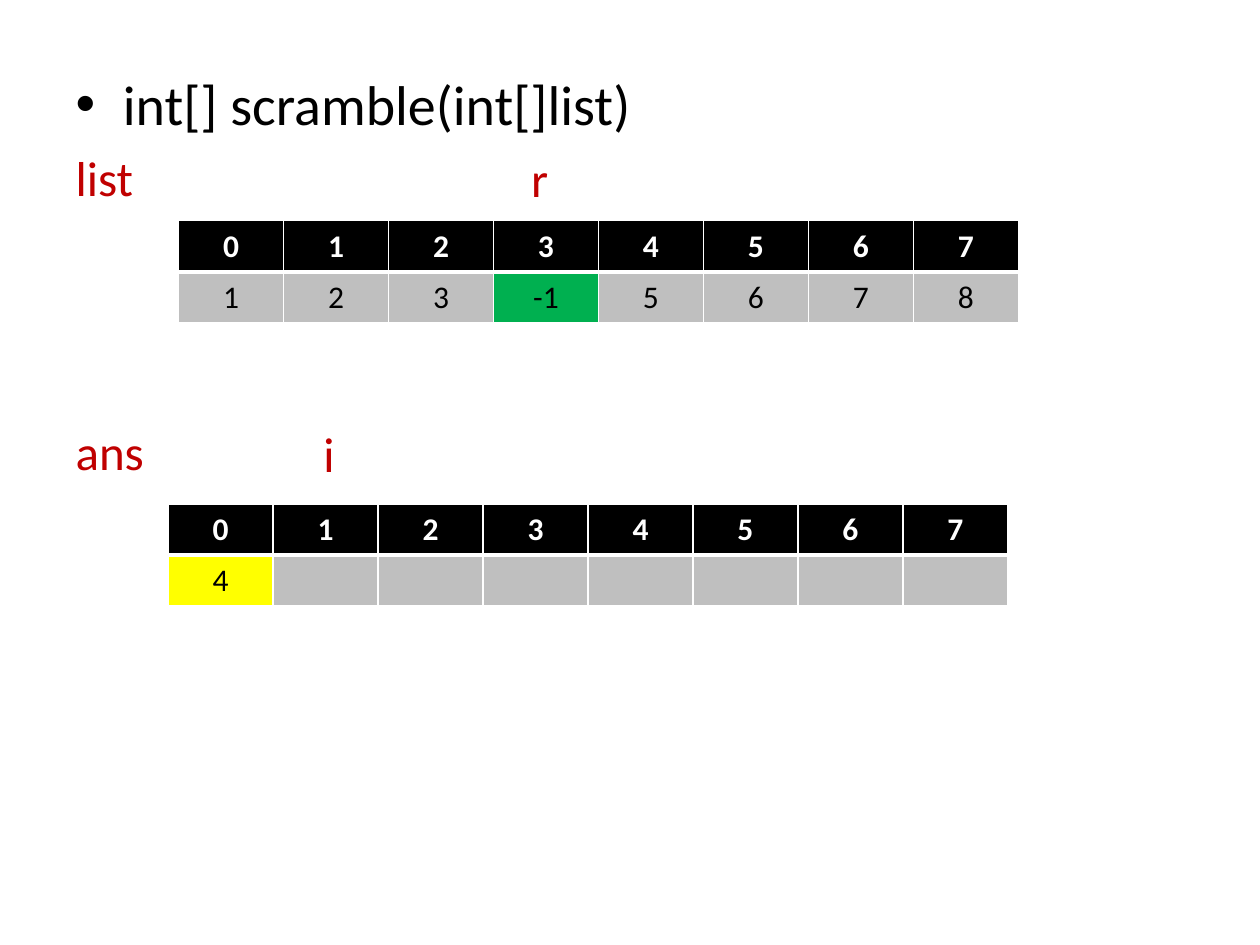
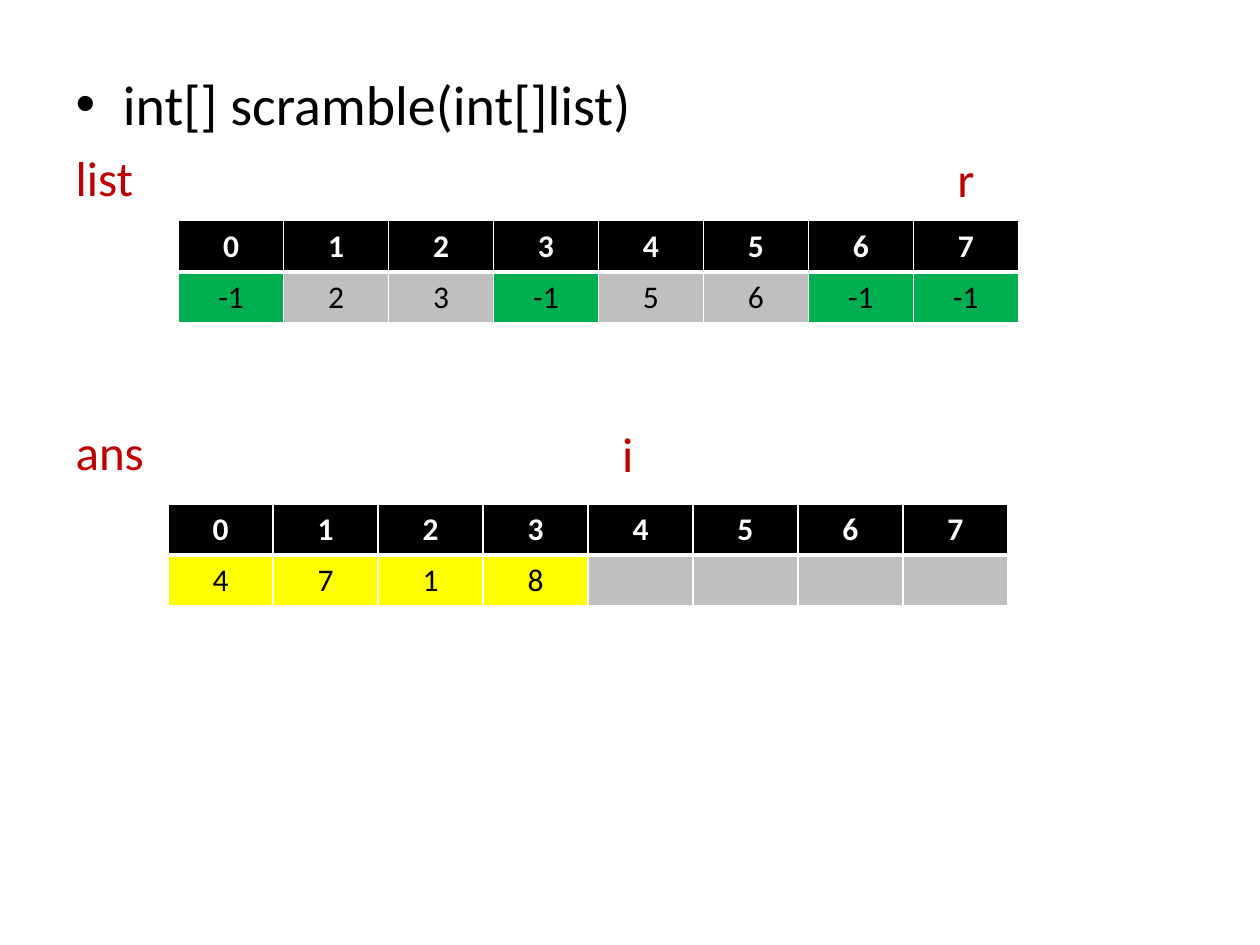
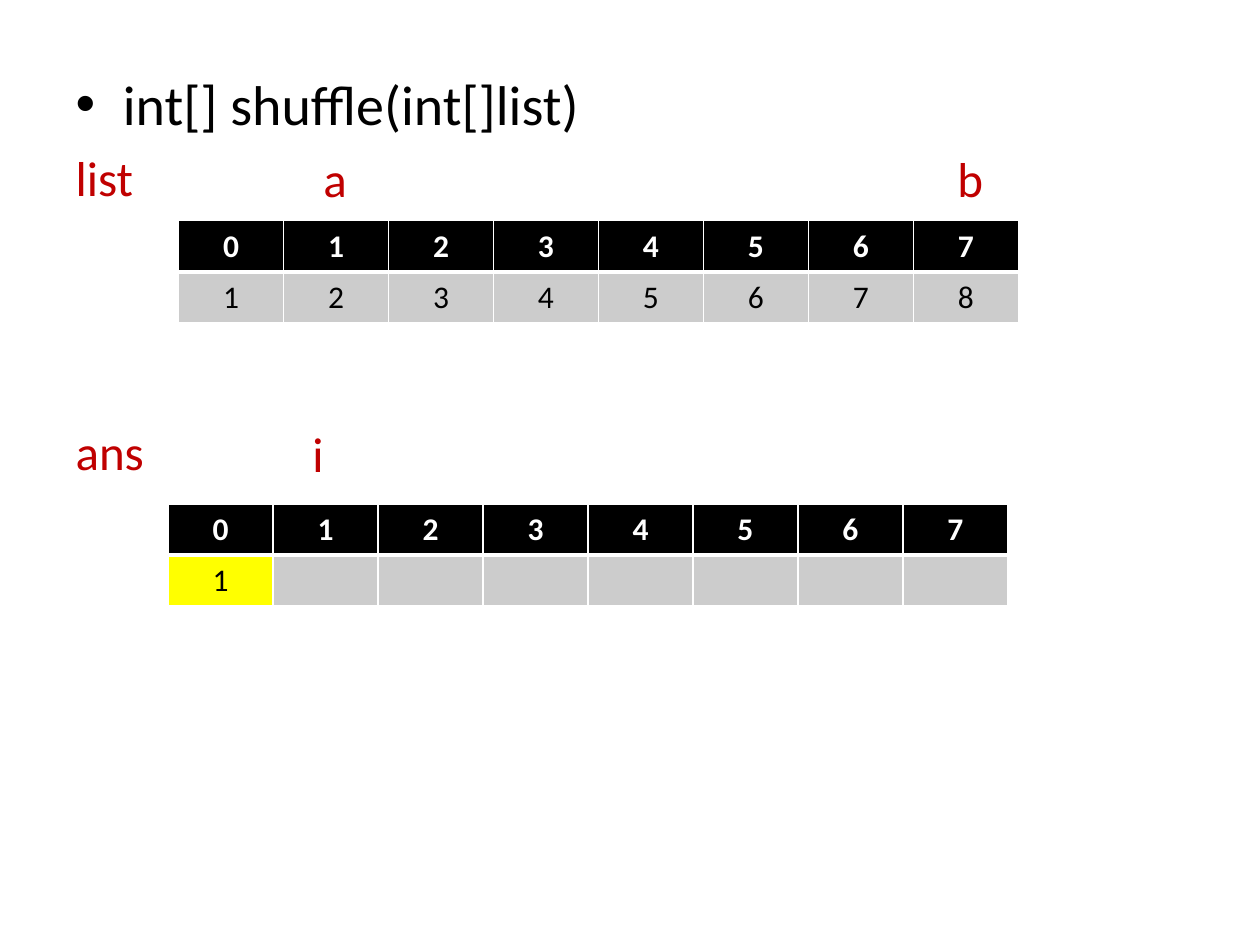
import pptx
import pptx.dml.color
import pptx.enum.text
import pptx.oxml.ns
import pptx.util
from lxml import etree

Cm, Pt = pptx.util.Cm, pptx.util.Pt
qn = pptx.oxml.ns.qn

COLORS = {"text": "000000", "label": "C00000", "header": "000000",
          "header_text": "FFFFFF", "border": "FFFFFF", "used": "00B050",
          "filled": "FFFF00", "gray": "BFBFBF", "light_gray": "CCCCCC"}
FONT = "Calibri"
USED = -1  # marks a list value already moved to the answer
SIZE = 8

# Pointers are (name, distance from the left edge of the text in cm).
SLIDES = [
    {"heading": "int[] scramble(int[]list)", "cell": "gray",
     "list": [1, 2, 3, USED, 5, 6, 7, 8], "list_pointers": [("r", 9.19)],
     "ans": [4], "ans_pointers": [("i", 5)]},
    {"heading": "int[] scramble(int[]list)", "cell": "gray",
     "list": [USED, 2, 3, USED, 5, 6, USED, USED],
     "list_pointers": [("r", 17.78)],
     "ans": [4, 7, 1, 8], "ans_pointers": [("i", 11.02)]},
    {"heading": "int[] shuffle(int[]list)", "cell": "light_gray",
     "list": [1, 2, 3, 4, 5, 6, 7, 8],
     "list_pointers": [("a", 5), ("b", 17.78)],
     "ans": [1], "ans_pointers": [("i", 4.78)]},
]

BODY = (1.27, 1.27, 23.06, 15.75)
TEXT_LEFT = 1.52
LIST_LABEL_TOP, ANS_LABEL_TOP = 2.99, 8.53
LIST_AT = (3.6, 4.45)
ANS_AT = (3.39, 10.16)
TABLE_WIDTH, ROW_HEIGHT = 16.93, 1.03


def rgb(name):
    return pptx.dml.color.RGBColor.from_string(COLORS[name])


def add_run(p, text, size, color, bold=False):
    r = p.add_run()
    r.text = text
    r.font.name, r.font.size, r.font.bold = FONT, Pt(size), bold
    r.font.color.rgb = rgb(color)


def add_label(tf, name, space_before):
    """Add an array name as a body paragraph without bullet."""
    p = tf.add_paragraph()
    pPr = p._p.get_or_add_pPr()
    pPr.set("marL", "0")
    pPr.set("indent", "0")
    etree.SubElement(pPr, qn("a:buNone"))
    p.space_before = Pt(space_before)
    add_run(p, name, 28, "label")


def add_pointers(slide, pointers, top):
    """Place each pointer name above its column, level with the label."""
    for name, x in pointers:
        sp = slide.shapes.add_textbox(Cm(TEXT_LEFT + x), Cm(top),
                                      Cm(1), Cm(1.21))
        tf = sp.text_frame
        tf.margin_left = tf.margin_right = 0
        tf.margin_top = tf.margin_bottom = 0
        tf.word_wrap = True
        add_run(tf.paragraphs[0], name, 28, "label")


def add_border(cell, side):
    """Draw the thick line between the indexes and the values."""
    ln = etree.Element(qn("a:" + side), w=str(Pt(3)))
    fill = etree.SubElement(ln, qn("a:solidFill"))
    etree.SubElement(fill, qn("a:srgbClr"), val=COLORS["border"])
    cell._tc.get_or_add_tcPr().insert(0, ln)


def add_array(slide, at, values, fills):
    """Add a table with the indexes above the values."""
    table = slide.shapes.add_table(
        2, SIZE, Cm(at[0]), Cm(at[1]),
        Cm(TABLE_WIDTH), Cm(ROW_HEIGHT * 2)).table
    rows = [(range(SIZE), ["header"] * SIZE, "header_text", True, "lnB"),
            (values, fills, "text", False, "lnT")]
    for i, (items, row_fills, color, bold, side) in enumerate(rows):
        for j, (item, fill) in enumerate(zip(items, row_fills)):
            cell = table.cell(i, j)
            cell.fill.solid()
            cell.fill.fore_color.rgb = rgb(fill)
            add_border(cell, side)
            p = cell.text_frame.paragraphs[0]
            p.alignment = pptx.enum.text.PP_ALIGN.CENTER
            if item is not None:
                add_run(p, str(item), 18, color, bold)


def add_slide(prs, content):
    slide = prs.slides.add_slide(prs.slide_layouts[1])
    title = slide.shapes.title
    title._element.getparent().remove(title._element)
    body = slide.placeholders[1]
    body.left, body.top, body.width, body.height = map(Cm, BODY)
    tf = body.text_frame
    p = tf.paragraphs[0]
    p.space_before = Pt(0)
    add_run(p, content["heading"], 32, "text")
    add_label(tf, "list", 6)
    add_label(tf, "ans", 123)
    add_pointers(slide, content["list_pointers"], LIST_LABEL_TOP)
    add_pointers(slide, content["ans_pointers"], ANS_LABEL_TOP)

    gray = content["cell"]
    values = content["list"]
    add_array(slide, LIST_AT, values,
              ["used" if v == USED else gray for v in values])
    ans = content["ans"]
    empty = SIZE - len(ans)
    add_array(slide, ANS_AT, ans + [None] * empty,
              ["filled"] * len(ans) + [gray] * empty)


def main():
    prs = pptx.Presentation()
    prs.slide_width, prs.slide_height = Cm(25.4), Cm(19.05)
    for content in SLIDES:
        add_slide(prs, content)
    prs.save("out.pptx")


if __name__ == "__main__":
    main()
